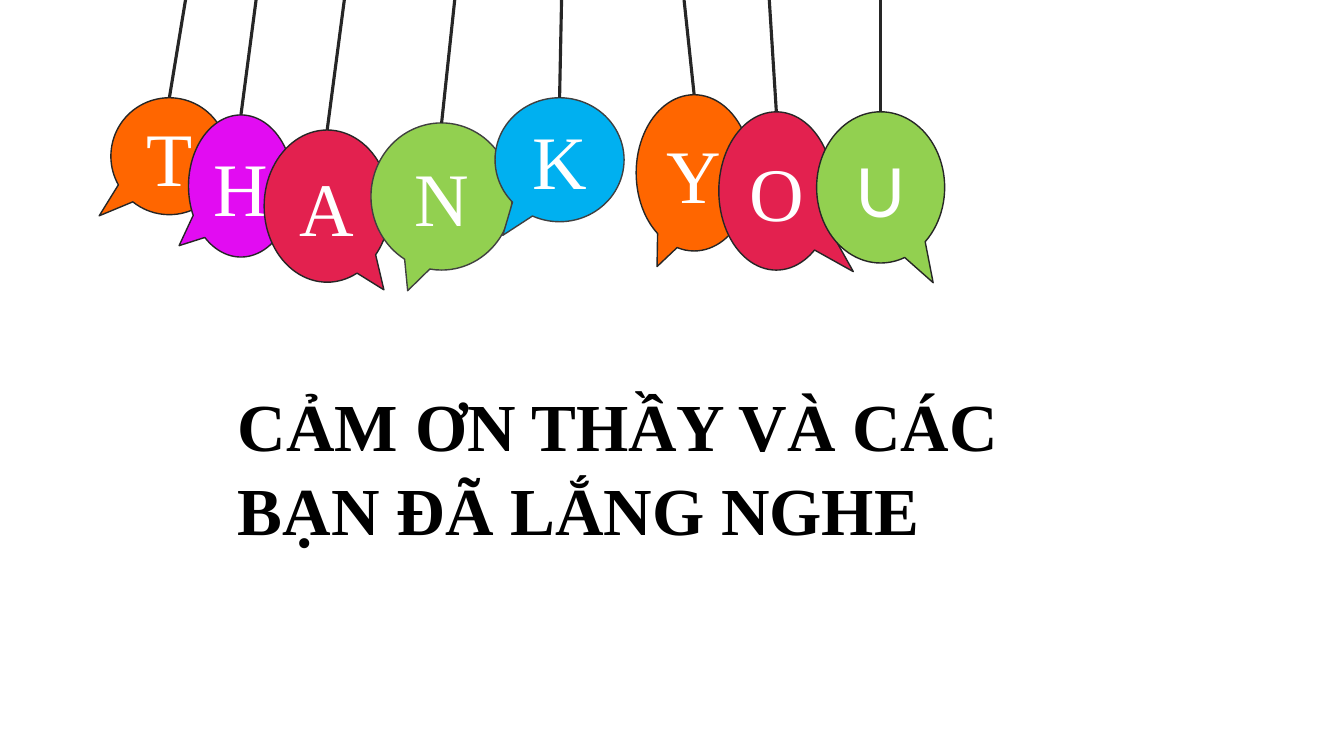
import pptx
import pptx.util
import pptx.dml.color
import pptx.enum.shapes
import pptx.enum.text
import pptx.oxml.ns
import lxml.etree

COLORS = {"orange": "FF6600", "magenta": "E20CF2", "crimson": "E3214F",
          "green": "92D050", "blue": "00B0F0", "ink": "262626",
          "gray": "404040", "white": "FFFFFF", "black": "000000"}
SERIF = "Times New Roman"

prs = pptx.Presentation()
prs.slide_width = pptx.util.Inches(13.33)
prs.slide_height = pptx.util.Inches(7.5)
COL = prs.slide_width / 133.3
ROW = prs.slide_height / 75


def rgb(name):
    return pptx.dml.color.RGBColor.from_string(COLORS[name])


def hang_string(s, x, y, sway):
    line = s.shapes.add_connector(pptx.enum.shapes.MSO_CONNECTOR.STRAIGHT,
                                  round(x), round(y), round(x + sway), 0)
    line.line.color.rgb = rgb("ink")
    line.line.width = pptx.util.Pt(2.25)
    lxml.etree.SubElement(line._element.spPr, pptx.oxml.ns.qn("a:effectLst"))


def add_balloon(group, box, letter, fill, outline, tail, font):
    sp = group.shapes.add_shape(pptx.enum.shapes.MSO_SHAPE.OVAL_CALLOUT,
                                *map(round, box))
    sp.shadow.inherit = False
    sp.adjustments[0], sp.adjustments[1] = tail
    sp.fill.solid()
    sp.fill.fore_color.rgb = rgb(fill)
    sp.line.color.rgb = rgb(outline)
    sp.line.width = pptx.util.Pt(1)
    tf = sp.text_frame
    tf.vertical_anchor = pptx.enum.text.MSO_ANCHOR.MIDDLE
    p = tf.paragraphs[0]
    p.text = letter
    p.alignment = pptx.enum.text.PP_ALIGN.CENTER
    p.font.name = font
    p.font.size = pptx.util.Pt(54)
    p.font.color.rgb = rgb("white")


def hang_word(s, left, top, balloons):
    group = s.shapes.add_group_shape()
    for letter, fill, outline, font, x, y, w, h, tail, sway in balloons:
        box = (left + x * COL, top + y * ROW, w * COL, h * ROW)
        add_balloon(group, box, letter, fill, outline, tail, font)
        hang_string(s, box[0] + box[2] / 2, box[1], sway * COL)


def add_thanks(s, left, top, width, height):
    title = s.shapes.title
    title.left, title.top, title.width, title.height = map(
        round, (left, top, width, height))
    tf = title.text_frame
    tf.word_wrap = True
    tf.vertical_anchor = pptx.enum.text.MSO_ANCHOR.TOP
    p = tf.paragraphs[0]
    p.text = "CẢM ƠN THẦY VÀ CÁC BẠN ĐÃ LẮNG NGHE"
    p.alignment = pptx.enum.text.PP_ALIGN.LEFT
    p.line_spacing = 1.05
    p.font.name = SERIF
    p.font.size = pptx.util.Pt(48)
    p.font.bold = True
    p.font.color.rgb = rgb("black")


THANK = [
    ("T", "orange", "ink", SERIF, 0, 0, 11.6, 11.6, (-0.6, 0.51), 1.6),
    ("H", "magenta", "ink", SERIF, 7.7, 1.7, 10.4, 14.1, (-0.59, 0.42), 1.5),
    ("A", "crimson", "ink", SERIF, 15.2, 3.2, 12.5, 15.1, (0.45, 0.55), 1.7),
    ("N", "green", "gray", SERIF, 25.8, 2.5, 14, 14.6, (-0.24, 0.64), 1.3),
    ("K", "blue", "gray", SERIF, 38.1, 0, 12.8, 12.3, (-0.44, 0.61), 0.2),
]
YOU = [
    ("Y", "orange", "ink", SERIF, 0, 0, 11.5, 15.5, (-0.32, 0.6), -1),
    ("O", "crimson", "ink", SERIF, 8.2, 1.7, 11.4, 15.7, (0.67, 0.51), -0.7),
    ("U", "green", "ink", "Calibri", 17.9, 1.7, 12.7, 15, (0.41, 0.63), 0),
]

s = prs.slides.add_slide(prs.slide_layouts[5])
add_thanks(s, 22.6 * COL, 37.2 * ROW, 88.5 * COL, 17.2 * ROW)
hang_word(s, 63.1 * COL, 9.4 * ROW, YOU)
hang_word(s, 11 * COL, 9.7 * ROW, THANK)
prs.save("out.pptx")
